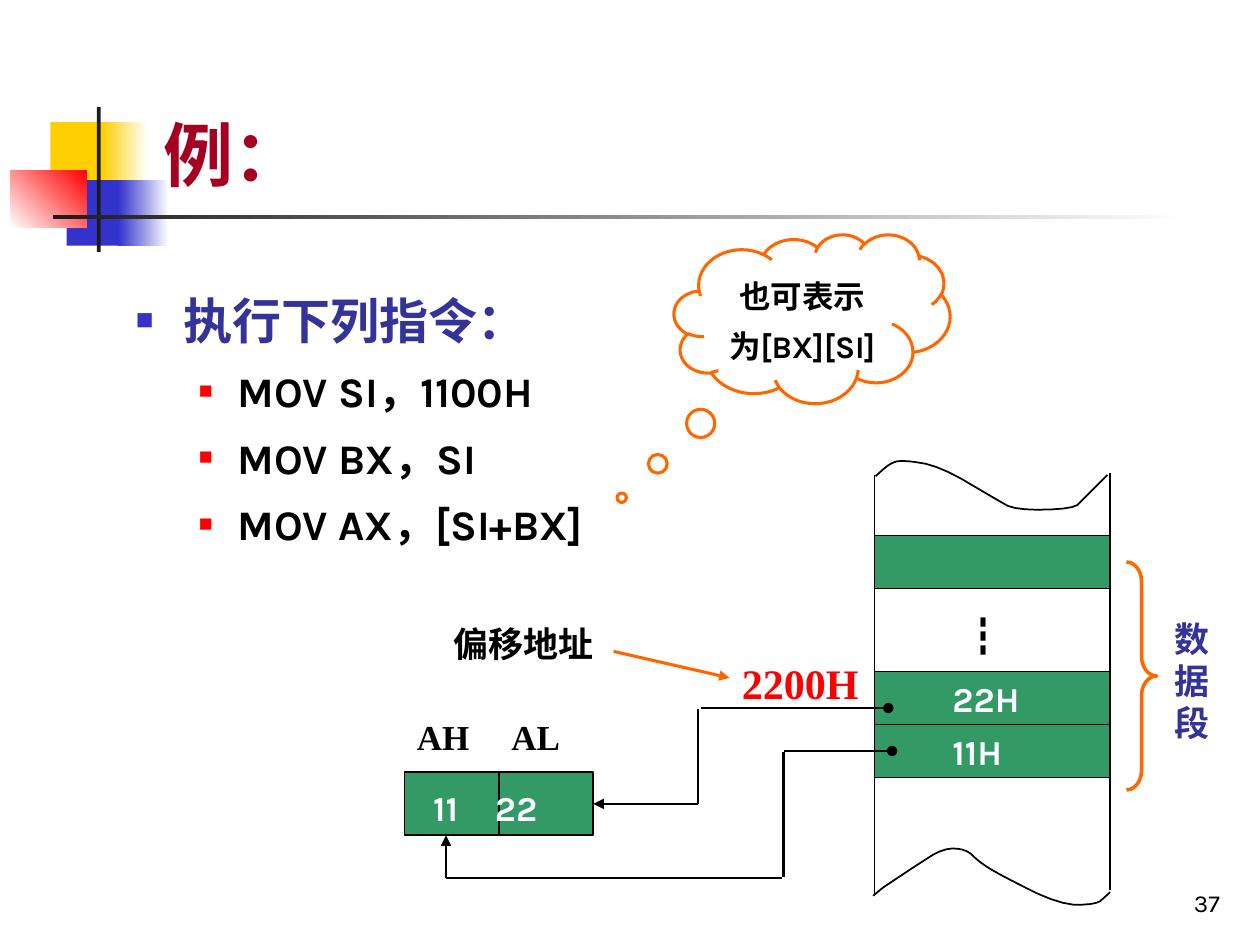
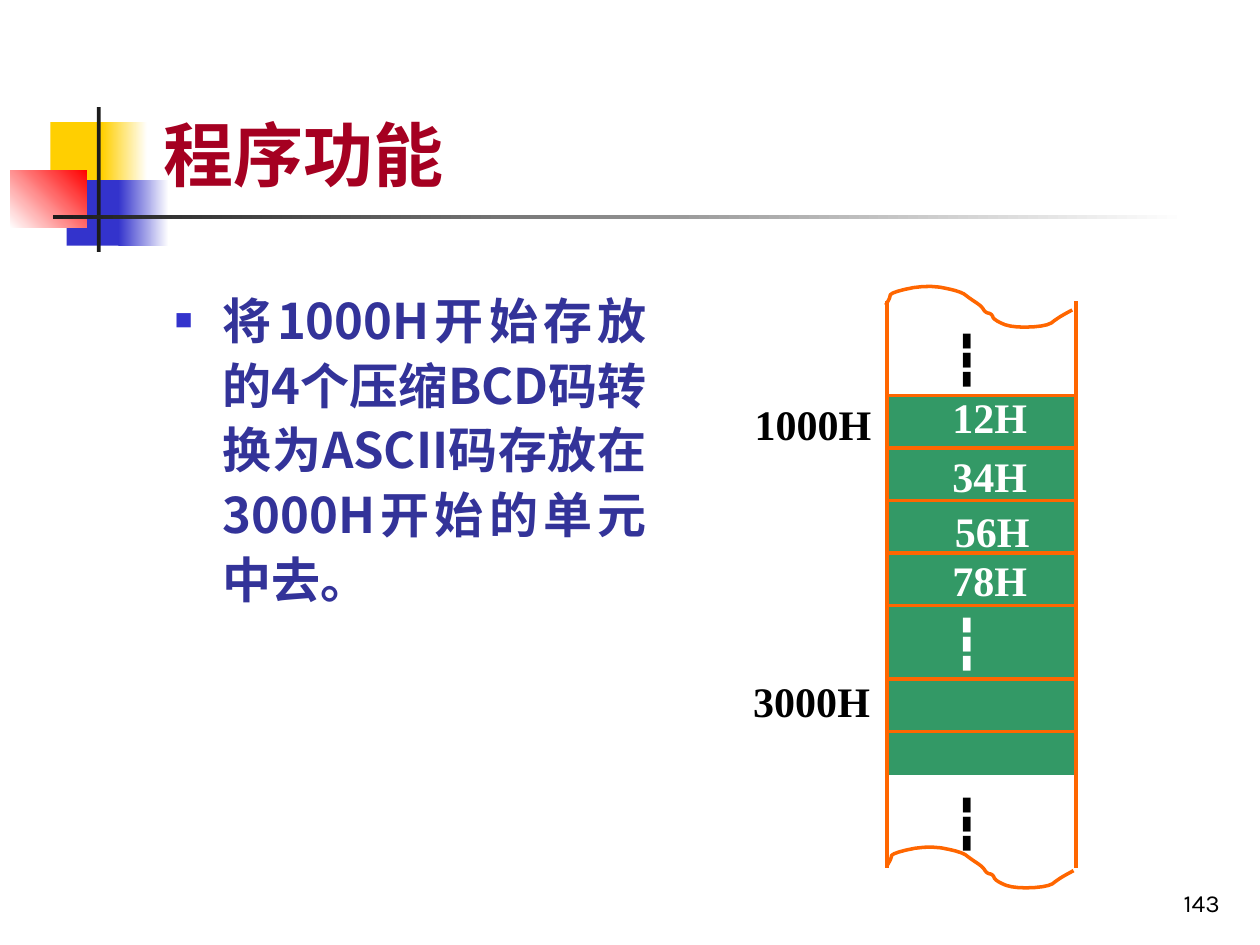
import pptx
import pptx.util
import pptx.dml.color
import pptx.enum.shapes
import pptx.enum.text
from lxml import etree
from pptx.oxml.ns import qn

Inches, Pt = pptx.util.Inches, pptx.util.Pt
SHAPE = pptx.enum.shapes.MSO_SHAPE
ALIGN = pptx.enum.text.PP_ALIGN
ANCHOR = pptx.enum.text.MSO_ANCHOR

COLORS = {
    "title": "A50021", "body": "333399", "black": "000000", "white": "FFFFFF",
    "red": "FF0000", "orange": "FF6600", "green": "339966",
    "yellow": "FFCF01", "blue": "3333CC", "dark": "1C1C1C",
}
CJK, SANS, SERIF = "Noto Sans CJK SC", "Karla", "Times New Roman"

# Shared decoration: left, top, width, height, first colour, second colour, angle
DECOR = [
    (0.4, 0.97, 0.48, 0.52, "yellow", None, 0),
    (0.81, 0.97, 0.36, 0.52, "yellow", "white", 0),
    (0.53, 1.43, 0.46, 0.52, "blue", None, 0),
    (0.94, 1.43, 0.4, 0.52, "blue", "white", 0),
    (0.08, 1.35, 0.61, 0.46, "white", "red", 45),
    (0.77, 0.85, 0.03, 1.15, "dark", None, 0),
    (0.42, 1.71, 9, 0.03, "dark", "white", 0),
]

# Body levels: font, size, colour, line pitch, space before, indent, hang, bullet colour, bullet %
LEVELS = [
    (CJK, 28, "body", 37, 6, 0.38, 0.38, "blue", 60),
    (SANS, 24, "black", 32, 0, 0.81, 0.31, "red", 55),
]

# Slide 1 content
EXAMPLE = [(0, "执行下列指令："), (1, "MOV SI，1100H"), (1, "MOV BX，SI"),
           (1, "MOV AX，[SI+BX]")]
# Labels: text, left, top, width, size, font, colour, bold
EXAMPLE_LABELS = [
    ("22H", 7.46, 5.33, 0.92, 20, SANS, "white", True),
    ("11H", 7.46, 5.75, 0.92, 20, SANS, "white", True),
    ("2200H", 5.79, 5.17, 1.15, 24, SERIF, "red", True),
    ("偏移地址", 3.5, 4.89, 1.51, 20, CJK, "black", True),
    ("AH", 3.21, 5.63, 0.7, 20, SERIF, "black", True),
    ("AL", 3.96, 5.63, 0.7, 20, SERIF, "black", True),
    ("11", 3.34, 6.19, 0.5, 20, SANS, "white", True),
    ("22", 3.83, 6.19, 0.6, 20, SANS, "white", True),
    ("┇", 7.54, 4.8, 0.67, 24, CJK, "black", False),
]
CELL_TOPS = [4.25, 5.33, 5.75]
TOP_EDGE = [(6.95, 3.78), (7.06, 3.68), (7.16, 3.65), (7.46, 3.7), (7.9, 3.96),
            (8.06, 4.05), (8.52, 4.04), (8.6, 3.96), (8.79, 3.77)]
BOTTOM_EDGE = [(6.93, 7.11), (7, 7.05), (7.09, 6.99), (7.27, 6.87), (7.49, 6.73),
               (7.67, 6.74), (7.77, 6.84), (7.93, 6.94), (8.41, 7.18),
               (8.7, 7.18), (8.78, 7.11), (8.81, 7.08)]
# Data paths: start, end, arrowhead
DATA_PATHS = [
    ((6.21, 6.97), (3.54, 6.97), None),
    ((3.54, 6.97), (3.54, 6.63), "triangle"),
    ((5.54, 5.63), (5.54, 6.38), None),
    ((5.56, 5.62), (7.05, 5.62), "oval"),
    ((6.22, 5.96), (7.08, 5.96), "oval"),
    ((6.22, 5.97), (6.22, 6.96), None),
]

# Slide 2 content
FUNCTION = [(0, "将1000H开始存放的4个压缩BCD码转换为ASCII码存放在3000H开始的单元中去。")]
FUNCTION_LABELS = [
    ("┇", 7.46, 2.56, 0.75, 28, SERIF, "black", True),
    ("┇", 7.46, 4.81, 0.75, 28, SERIF, "white", True),
    ("┇", 7.46, 6.24, 0.75, 28, SERIF, "black", True),
    ("12H", 7.46, 3.06, 0.83, 24, SERIF, "white", True),
    ("34H", 7.46, 3.53, 0.83, 24, SERIF, "white", True),
    ("56H", 7.48, 3.96, 0.83, 24, SERIF, "white", True),
    ("78H", 7.46, 4.35, 0.83, 24, SERIF, "white", True),
    ("1000H", 5.89, 3.11, 1.33, 24, SERIF, "black", True),
    ("3000H", 5.88, 5.31, 1.33, 24, SERIF, "black", True),
]
TORN_EDGE = [(7.03, 2.42), (7.06, 2.37), (7.07, 2.32), (7.36, 2.26), (7.62, 2.31),
             (7.7, 2.37), (7.79, 2.43), (7.82, 2.48), (7.87, 2.49), (7.89, 2.54),
             (8.03, 2.6), (8.31, 2.59), (8.4, 2.52), (8.51, 2.46)]


def rgb(name):
    return pptx.dml.color.RGBColor.from_string(COLORS[name])


def box(values):
    return [Inches(v) for v in values]


def format_runs(p, font, size, color, bold=True):
    for r in p.runs:
        r.font.name, r.font.size, r.font.bold = font, Pt(size), bold
        r.font.color.rgb = rgb(color)
        ea = etree.SubElement(r.font._element, qn("a:ea"))
        ea.set("typeface", CJK)


def set_line(sp, color, width):
    sp.line.color.rgb = rgb(color)
    sp.line.width = Pt(width)


def add_shape(slide, kind, at, fill=None, line=None, width=1):
    sp = slide.shapes.add_shape(kind, *box(at))
    sp.shadow.inherit = False
    if fill:
        sp.fill.solid()
        sp.fill.fore_color.rgb = rgb(fill)
    else:
        sp.fill.background()
    if line:
        set_line(sp, line, width)
    else:
        sp.line.fill.background()
    return sp


def add_line(slide, start, end, color="black", width=1, tail=None):
    sp = slide.shapes.add_connector(
        pptx.enum.shapes.MSO_CONNECTOR.STRAIGHT, *box(start + end))
    set_line(sp, color, width)
    if tail:
        etree.SubElement(sp.line._get_or_add_ln(), qn("a:tailEnd")).set("type", tail)
    etree.SubElement(sp.element.spPr, qn("a:effectLst"))
    return sp


def add_wave(slide, points, color, width):
    # Round the corners by cutting each one twice
    for _ in range(2):
        cut = [points[0]]
        for (x0, y0), (x1, y1) in zip(points, points[1:]):
            cut += [(x0 + t * (x1 - x0), y0 + t * (y1 - y0)) for t in (0.25, 0.75)]
        points = cut + [points[-1]]
    points = [tuple(box(pt)) for pt in points]
    builder = slide.shapes.build_freeform(*points[0])
    builder.add_line_segments(points[1:], close=False)
    sp = builder.convert_to_shape()
    sp.shadow.inherit = False
    sp.fill.background()
    set_line(sp, color, width)


def add_label(slide, text, left, top, width, size, font, color, bold, wrap=False):
    height = 1.2 * size / 72 + 0.1
    tf = slide.shapes.add_textbox(*box((left, top, width, height))).text_frame
    tf.word_wrap = wrap
    tf.text = text
    tf.paragraphs[0].line_spacing = Pt(1.2 * size)
    format_runs(tf.paragraphs[0], font, size, color, bold)


def add_body(slide, items, at, align=ALIGN.LEFT):
    tf = slide.shapes.add_textbox(*box(at)).text_frame
    tf.word_wrap = True
    for i, (level, text) in enumerate(items):
        font, size, color, pitch, before, indent, hang, bullet, percent = LEVELS[level]
        p = tf.add_paragraph() if i else tf.paragraphs[0]
        p.text, p.level, p.alignment = text, level, align
        p.line_spacing, p.space_before, p.space_after = Pt(pitch), Pt(before), Pt(6)
        format_runs(p, font, size, color)
        pPr = p._p.get_or_add_pPr()
        pPr.set("marL", str(Inches(indent)))
        pPr.set("indent", str(-Inches(hang)))
        clr = etree.SubElement(pPr, qn("a:buClr"))
        etree.SubElement(clr, qn("a:srgbClr")).set("val", COLORS[bullet])
        etree.SubElement(pPr, qn("a:buSzPct")).set("val", str(percent * 1000))
        etree.SubElement(pPr, qn("a:buFont")).set("typeface", SERIF)
        etree.SubElement(pPr, qn("a:buChar")).set("char", "■")


def decorate_layout(layout, slide):
    # Shapes are made on a slide, then moved to the layout they belong to
    for i, (*at, first, second, angle) in enumerate(DECOR):
        sp = add_shape(slide, SHAPE.RECTANGLE, at, first)
        if second:
            sp.fill.gradient()
            sp.fill.gradient_angle = angle
            for stop, name in zip(sp.fill.gradient_stops, (first, second)):
                stop.color.rgb = rgb(name)
        sp.element.nvSpPr.cNvPr.set("id", str(20 + i))
        layout.shapes.element.append(sp.element)


def add_slide(prs, layout, title, number):
    slide = prs.slides.add_slide(layout)
    sp = slide.shapes.title
    sp.left, sp.top, sp.width, sp.height = box((1.2, 0, 8.52, 1.6))
    tf = sp.text_frame
    tf.text = title
    tf.auto_size = pptx.enum.text.MSO_AUTO_SIZE.NONE
    tf.vertical_anchor = ANCHOR.BOTTOM
    tf.paragraphs[0].alignment = ALIGN.LEFT
    format_runs(tf.paragraphs[0], CJK, 40, "title")
    # Page number
    tf = slide.shapes.add_textbox(*box((7.7, 6.83, 2.08, 0.5))).text_frame
    tf.word_wrap = True
    tf.vertical_anchor = ANCHOR.BOTTOM
    tf.text = number
    tf.paragraphs[0].alignment = ALIGN.RIGHT
    format_runs(tf.paragraphs[0], SANS, 14, "black", False)
    return slide


def build_example(slide):
    add_body(slide, EXAMPLE, (0.98, 2.21, 8.5, 2.49))
    # Memory column
    for top in CELL_TOPS:
        add_shape(slide, SHAPE.RECTANGLE, (6.94, top, 1.87, 0.42), "green", "black")
    add_line(slide, (6.94, 3.77), (6.94, 7.11))
    add_line(slide, (8.81, 3.75), (8.81, 7.06))
    for edge in (TOP_EDGE, BOTTOM_EDGE):
        add_wave(slide, edge, "black", 1)
    # AX register, split into AH and AL
    ax = add_shape(slide, SHAPE.RECTANGLE, (3.21, 6.13, 1.5, 0.5), "green", "black")
    split = add_line(slide, (3.96, 6.13), (3.96, 6.63))
    split.begin_connect(ax, 0)
    split.end_connect(ax, 2)
    # Data paths and labels
    for start, end, tail in DATA_PATHS:
        add_line(slide, start, end, "black", 1.5, tail)
    into_al = add_line(slide, (5.54, 6.38), (4.71, 6.38), "black", 1.5, "triangle")
    into_al.end_connect(ax, 3)
    add_line(slide, (4.87, 5.17), (5.79, 5.38), "orange", 1.75, "triangle")
    for label in EXAMPLE_LABELS:
        add_label(slide, *label)
    # Data segment brace
    add_label(slide, "数据段", 9.22, 4.85, 0.5, 20, CJK, "body", True, wrap=True)
    brace = add_shape(slide, SHAPE.RIGHT_BRACE, (8.94, 4.46, 0.24, 1.81),
                      None, "orange", 2)
    brace.adjustments[0], brace.adjustments[1] = 0.64, 0.5
    # Thought cloud
    cloud = add_shape(slide, SHAPE.CLOUD_CALLOUT, (5.35, 1.86, 2.19, 1.34),
                      "white", "orange", 1.75)
    cloud.adjustments[0], cloud.adjustments[1] = -0.69, 1.06
    tf = cloud.text_frame
    tf.word_wrap = True
    tf.vertical_anchor = ANCHOR.MIDDLE
    tf.text = "也可表示为[BX][SI]"
    p = tf.paragraphs[0]
    p.alignment, p.line_spacing = ALIGN.CENTER, Pt(28.6)
    format_runs(p, SANS, 18, "black")


def build_function(slide):
    add_body(slide, FUNCTION, (1.29, 2.21, 3.94, 4.54), ALIGN.JUSTIFY)
    # Memory column with its cell borders
    left, right, top, pitch = 7.04, 8.54, 3.14, 1.25 / 3
    add_shape(slide, SHAPE.RECTANGLE, (left, top, right - left, 3), "green", "green", 2)
    for x in (left, right):
        add_line(slide, (x, 2.39), (x, 6.89), "orange", 2)
    borders = [top + i * pitch for i in range(5)] + [5.39, 5.39 + pitch]
    for y in borders:
        add_line(slide, (left, y), (right, y), "orange", 2)
    for dx, dy in ((0, 0), (0.01, 4.45)):
        add_wave(slide, [(x + dx, y + dy) for x, y in TORN_EDGE], "orange", 2)
    for label in FUNCTION_LABELS:
        add_label(slide, *label)


def main():
    prs = pptx.Presentation()
    prs.slide_width, prs.slide_height = Inches(10), Inches(7.5)
    layout = prs.slide_layouts[5]
    example = add_slide(prs, layout, "例：", "37")
    decorate_layout(layout, example)
    build_example(example)
    build_function(add_slide(prs, layout, "程序功能", "143"))
    prs.save("out.pptx")


if __name__ == "__main__":
    main()
